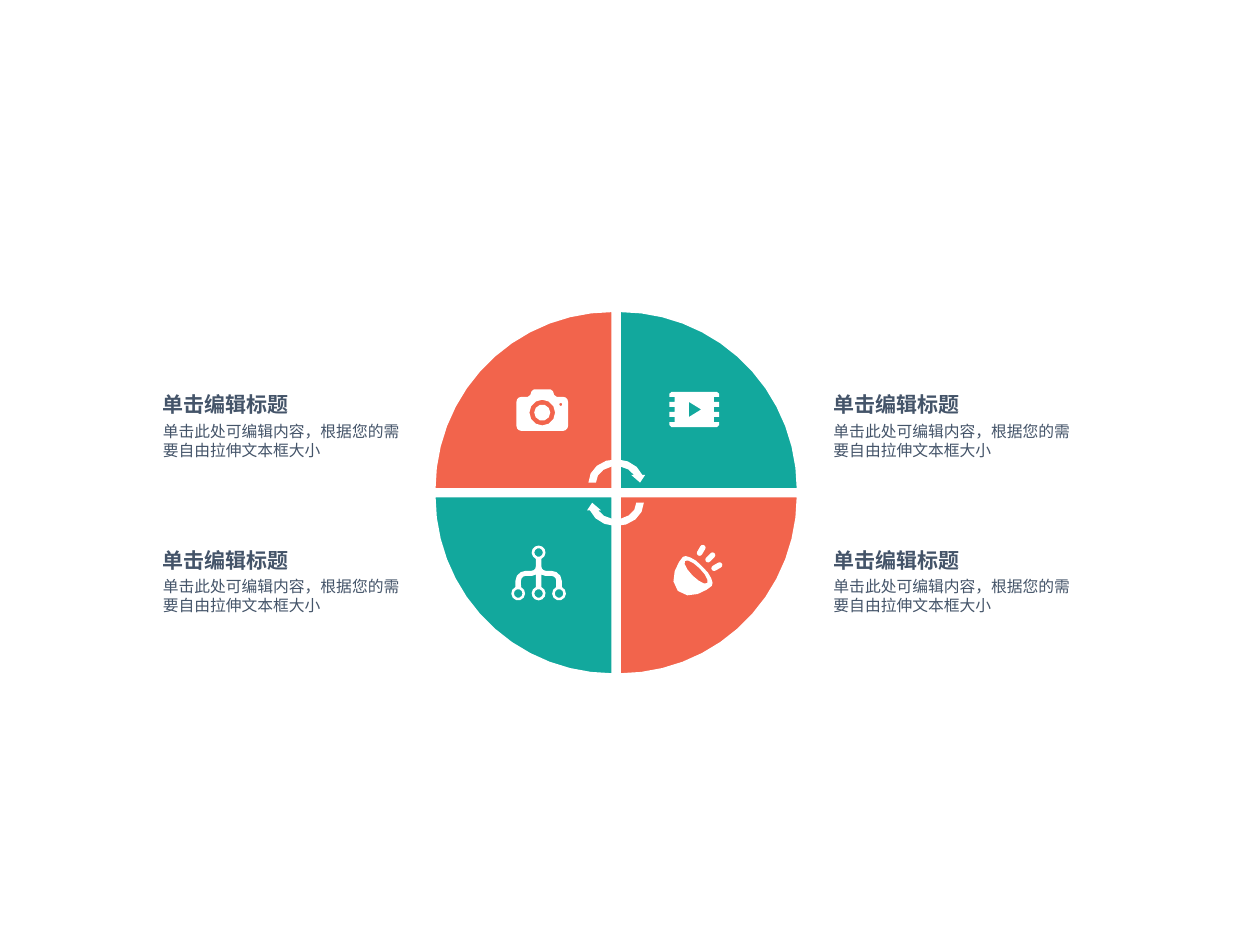
from math import ceil, cos, radians, sin

from pptx import Presentation
from pptx.dml.color import RGBColor
from pptx.util import Inches, Pt

CORAL, TEAL, WHITE, SLATE = "F2644C", "12A89D", "FFFFFF", "445469"

presentation = Presentation()
presentation.slide_width, presentation.slide_height = Inches(10), Inches(7.5)
slide = presentation.slides.add_slide(presentation.slide_layouts[6])
unit = presentation.slide_width / 100  # grid of 100 columns and 75 rows
color = RGBColor.from_string


def arc(x, y, radius_x, radius_y, start=0, end=360):
    """Points along an ellipse from start to end in degrees, more for larger radii."""
    steps = ceil(abs(end - start) / 360 * (8 + 3 * radius_x))
    angles = [radians(start + (end - start) * i / steps) for i in range(steps + 1)]
    return [(x + radius_x * cos(a), y + radius_y * sin(a)) for a in angles]


def add_outline(contours, fill):
    """Draw closed contours as one shape; inner contours become holes."""
    scaled = [[(x * unit, y * unit) for x, y in contour] for contour in contours]
    builder = slide.shapes.build_freeform(*scaled[0][0], scale=1.0)
    for index, contour in enumerate(scaled):
        if index:
            builder.move_to(*contour[0])
        builder.add_line_segments(contour[1:], close=True)
    shape = builder.convert_to_shape()
    shape.shadow.inherit = False
    shape.fill.solid()
    shape.fill.fore_color.rgb = color(fill)
    shape.line.fill.background()
    return shape


# Four quarters of the wheel, clockwise from top left
center_x, center_y, half_gap, radius = 48.9, 39.1, 0.3, 14.1
quarters = [(-1, -1, 180, CORAL), (1, -1, 270, TEAL), (1, 1, 0, CORAL), (-1, 1, 90, TEAL)]
for side_x, side_y, start, fill in quarters:
    corner = (center_x + side_x * half_gap, center_y + side_y * half_gap)
    quarter = add_outline([[corner] + arc(*corner, radius, radius, start, start + 90)], fill)
    quarter.line.color.rgb = color(WHITE)
    quarter.line.width = Pt(1)

# Two cycle arrows, the second turned half way round the hub
arrow = (arc(0, -0.8, 2.2, 1.85, 180, 341)
         + [(2.3, -1.4), (1.9, -0.8), (1.2, -1.4)]
         + arc(0, -0.8, 1.6, 1.3, 332, 180))
for turn in (1, -1):
    add_outline([[(center_x + turn * x, center_y + turn * y) for x, y in arrow]], WHITE)

# Symmetric icons: right half relative to the axis, then the holes
node, hole = 0.55, 0.34
node_top, node_bottom, branch = 43.85, 47.1, 1.62
tree_half = (arc(0, node_top, node, node, -90, 66)
             + arc(0.57, 44.95, 0.35, 0.35, 180, 90)
             + arc(1.0, 46.1, 0.84, 0.8, -90, 0)
             + arc(branch, node_bottom, node, node, -66, 246)
             + arc(1.0, 46.1, 0.4, 0.4, 0, -90)
             + [(0.5, 45.7), (0.22, 45.6)]
             + arc(0, node_bottom, node, node, -66, 90))
tree_holes = [arc(x, y, hole, hole) for x, y in
              [(0, node_top), (-branch, node_bottom), (0, node_bottom), (branch, node_bottom)]]

camera_half = ([(0, 30.9), (0.65, 30.9), (0.85, 31.05), (0.95, 31.35), (1.15, 31.5)]
               + arc(1.65, 31.9, 0.4, 0.4, -90, 0)
               + arc(1.65, 33.8, 0.4, 0.4, 0, 90) + [(0, 34.2)])
camera_holes = [arc(0, 32.75, 1.02, 1.02), arc(0, 32.75, 0.64, 0.64),
                arc(1.47, 32.1, 0.12, 0.12)]

film_half = [(0, 31.1), (1.8, 31.1), (1.97, 31.25)]
for notch in range(3):
    top = 31.5 + 0.8 * notch
    film_half += [(1.97, top), (1.55, top), (1.55, top + 0.4), (1.97, top + 0.4)]
film_half += [(1.97, 33.75), (1.8, 33.9), (0, 33.9)]
film_holes = [[(-0.42, 31.9), (-0.42, 33.1), (0.55, 32.5)]]

for axis, half, holes in [(42.75, tree_half, tree_holes),
                          (43.04, camera_half, camera_holes),
                          (55.1, film_half, film_holes)]:
    body = half + [(-x, y) for x, y in reversed(half)]
    add_outline([[(axis + x, y) for x, y in contour] for contour in [body] + holes], WHITE)

# Spotlight: bowl mirrored on the diagonal x + y = mirror, tilted opening, three rays
mirror = 100.7
bowl_half = [(55.72, 44.95), (55.25, 44.51), (54.8, 44.25), (54.44, 44.14), (54.2, 44.2),
             (53.89, 44.62), (53.55, 45.33), (53.45, 46.15), (53.8, 46.9)]
bowl = bowl_half + [(mirror - y, mirror - x) for x, y in reversed(bowl_half)]
tilt = cos(radians(45))
opening = [(55.25 + tilt * (u - v), 45.4 + tilt * (u + v)) for u, v in arc(0, 0, 1.25, 0.4)]
rays = []
for x, y, angle in [(55.53, 43.9, -60), (56.2, 44.42, -45), (56.68, 45.1, -30)]:
    tip_x, tip_y = x + 0.5 * cos(radians(angle)), y + 0.5 * sin(radians(angle))
    rays.append(arc(tip_x, tip_y, 0.22, 0.22, angle - 90, angle + 90)
                + arc(x, y, 0.22, 0.22, angle + 90, angle + 270))
add_outline([bowl, opening] + rays, WHITE)

# Heading and description beside each quarter
texts = [("单击编辑标题", 0, 16, 2, 12, True),
         ("单击此处可编辑内容，根据您的需要自由拉伸文本框大小", 2.35, 19.1, 3, 9, False)]
for left in (66.15, 12.92):
    for top in (31.1, 43.45):
        for text, offset, width, height, size, bold in texts:
            box = slide.shapes.add_textbox(*(round(length * unit) for length in
                                             (left, top + offset, width, height)))
            frame = box.text_frame
            frame.word_wrap = True
            frame.margin_left = frame.margin_right = frame.margin_top = frame.margin_bottom = 0
            paragraph = frame.paragraphs[0]
            paragraph.text = text
            paragraph.font.name = "Arial"
            paragraph.font.size = Pt(size)
            paragraph.font.bold = bold
            paragraph.font.color.rgb = color(SLATE)

presentation.save("out.pptx")
